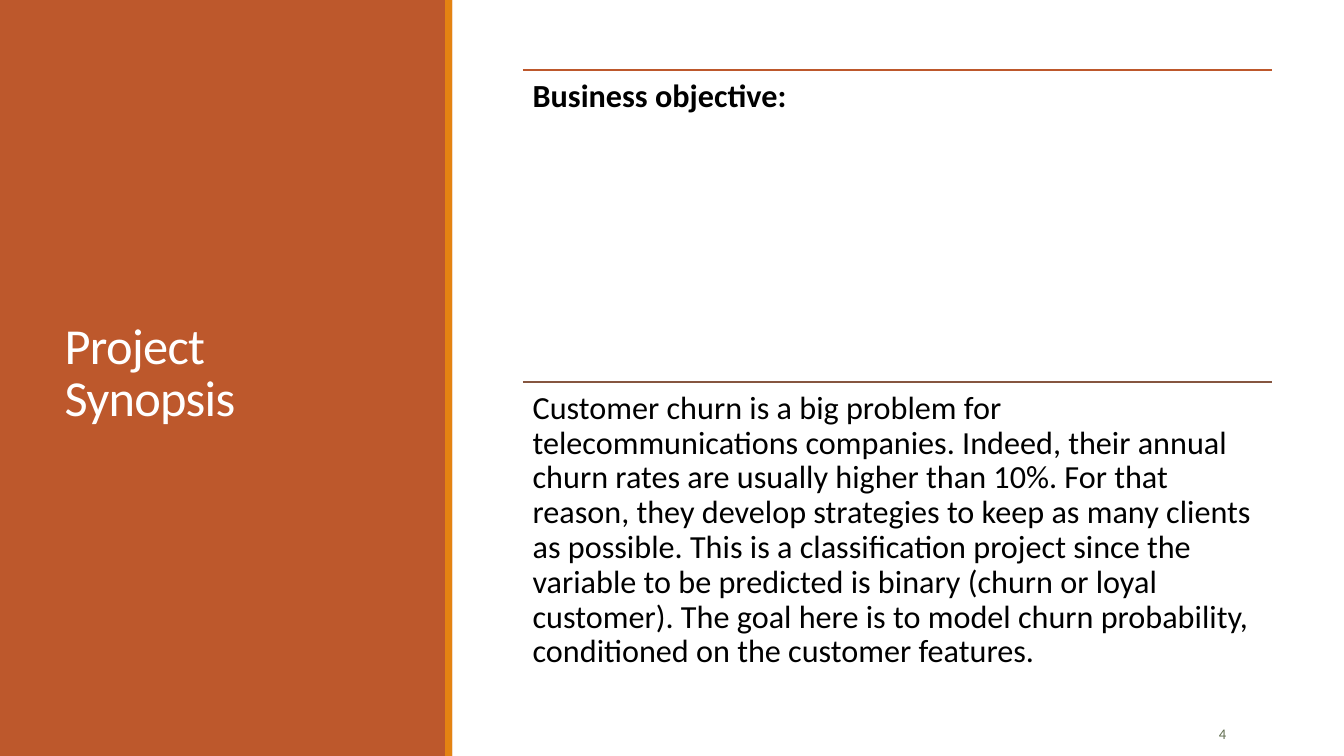
from lxml import etree
from pptx import Presentation
from pptx.dml.color import RGBColor
from pptx.enum.shapes import MSO_CONNECTOR, MSO_SHAPE
from pptx.enum.text import MSO_ANCHOR, PP_ALIGN
from pptx.oxml.ns import qn
from pptx.util import Pt

STRAIGHT = MSO_CONNECTOR.STRAIGHT
RECTANGLE = MSO_SHAPE.RECTANGLE
MIDDLE, TOP = MSO_ANCHOR.MIDDLE, MSO_ANCHOR.TOP
LEFT, RIGHT = PP_ALIGN.LEFT, PP_ALIGN.RIGHT

FONT = "Calibri"
RUST, ORANGE, BROWN = "BD582C", "E48312", "865640"
WHITE, BLACK, GREEN_GREY = "FFFFFF", "000000", "637052"
SLIDE_WIDTH, SLIDE_HEIGHT = 960, 540

OBJECTIVE = (
    "Customer churn is a big problem for telecommunications companies. "
    "Indeed, their annual churn rates are usually higher than 10%. "
    "For that reason, they develop strategies to keep as many clients as possible. "
    "This is a classification project since the variable to be predicted is binary "
    "(churn or loyal customer). The goal here is to model churn probability, "
    "conditioned on the customer features."
)


def rgb(hex_colour):
    """Turn a hex string into a colour."""
    return RGBColor.from_string(hex_colour)


def write(shape, text, size, colour, anchor=TOP, align=LEFT, spacing=1.0, bold=False):
    """Set one formatted paragraph in a shape and return its run."""
    frame = shape.text_frame
    frame.text = text
    frame.word_wrap = True
    frame.vertical_anchor = anchor
    paragraph = frame.paragraphs[0]
    paragraph.alignment = align
    paragraph.line_spacing = spacing
    run = paragraph.runs[0]
    run.font.name = FONT
    run.font.size = Pt(size)
    run.font.bold = bold
    run.font.color.rgb = rgb(colour)
    return run


def add_band(slide, left, top, width, height, colour):
    """Add a plain filled rectangle."""
    band = slide.shapes.add_shape(RECTANGLE, Pt(left), Pt(top), Pt(width), Pt(height))
    band.shadow.inherit = False
    band.fill.solid()
    band.fill.fore_color.rgb = rgb(colour)
    band.line.fill.background()
    return band


def add_title_panel(slide, left, top, width, height):
    """Fill the side panel with its stripe and place the title on it."""
    stripe_width = 5
    title = slide.shapes.title
    for x, band_width, colour in (
        (left, width, RUST),
        (left + width - stripe_width, stripe_width, ORANGE),
    ):
        band = add_band(slide, x, top, band_width, height, colour)
        title.element.addprevious(band.element)
    title.left, title.top = Pt(left + 39), Pt(top + 41)
    title.width, title.height = Pt(width - 80), Pt(height - 86)
    run = write(title, "Project Synopsis", 36, WHITE, MIDDLE, spacing=0.85)
    title.text_frame.margin_right = Pt(14)
    run.font._element.set("spc", "-50")


def add_section(slide, left, top, width, height, text, rule_colour, bold):
    """Add a text section below a full-width rule."""
    rule = slide.shapes.add_connector(
        STRAIGHT, Pt(left), Pt(top), Pt(left + width), Pt(top)
    )
    rule.line.color.rgb = rgb(rule_colour)
    rule.line.width = Pt(1.25)
    etree.SubElement(rule.element.spPr, qn("a:effectLst"))
    body = slide.shapes.add_textbox(Pt(left), Pt(top), Pt(width), Pt(height))
    write(body, text, 23, BLACK, spacing=0.9, bold=bold)
    frame = body.text_frame
    frame.margin_left = frame.margin_right = Pt(7)
    frame.margin_top = frame.margin_bottom = Pt(7)


def add_synopsis(slide, left, top, width, height):
    """Stack the heading and the objective in equal sections."""
    sections = (("Business objective:", RUST, True), (OBJECTIVE, BROWN, False))
    section_height = height / len(sections)
    for index, (text, rule_colour, bold) in enumerate(sections):
        section_top = top + index * section_height
        add_section(
            slide, left, section_top, width, section_height, text, rule_colour, bold
        )


def add_page_number(slide, left, top, width, height):
    """Add the page number at the right of its box."""
    number = slide.shapes.add_textbox(Pt(left), Pt(top), Pt(width), Pt(height))
    write(number, "4", 10.5, GREEN_GREY, MIDDLE, RIGHT)


def main():
    """Build and save the slide."""
    presentation = Presentation()
    presentation.slide_width = Pt(SLIDE_WIDTH)
    presentation.slide_height = Pt(SLIDE_HEIGHT)
    slide = presentation.slides.add_slide(presentation.slide_layouts[5])
    add_title_panel(slide, 0, 0, 323, SLIDE_HEIGHT)
    add_synopsis(slide, 373.5, 50.25, 535, 445)
    add_page_number(slide, 797, 509.5, 86, 28.75)
    presentation.save("out.pptx")


if __name__ == "__main__":
    main()
